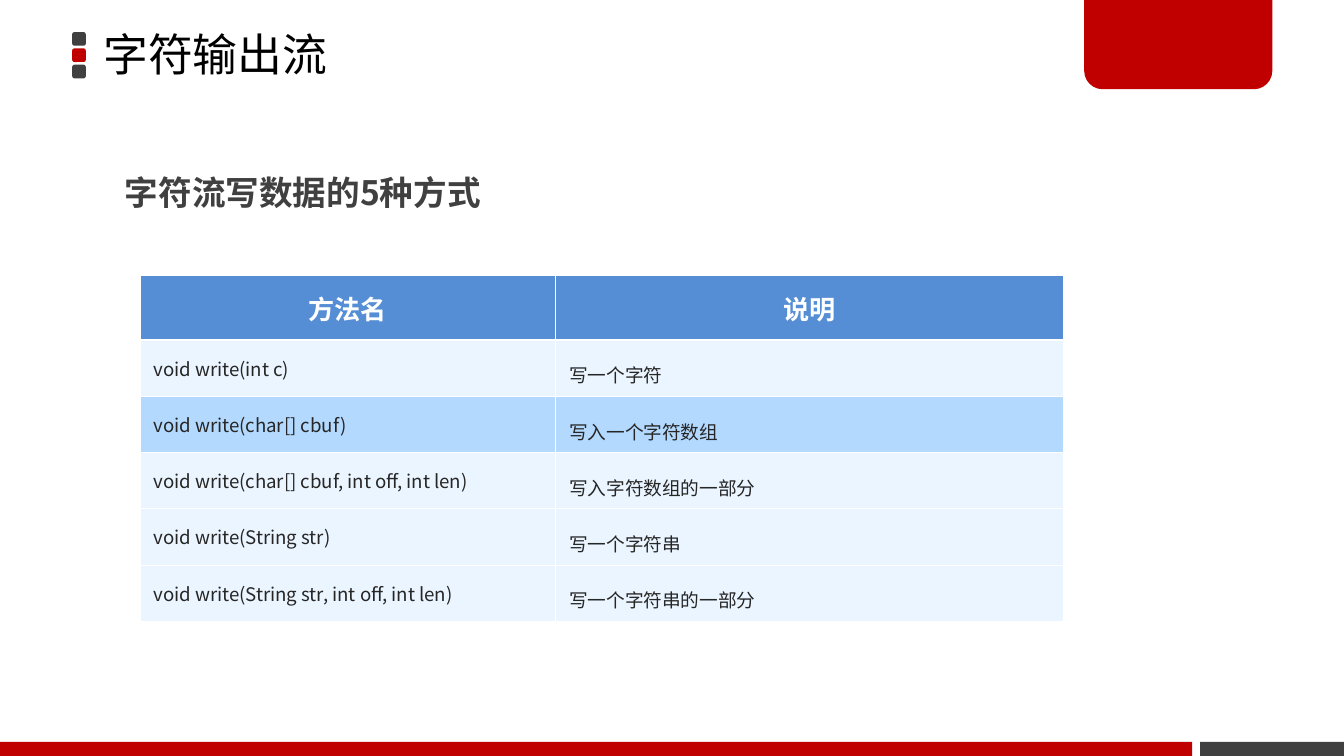
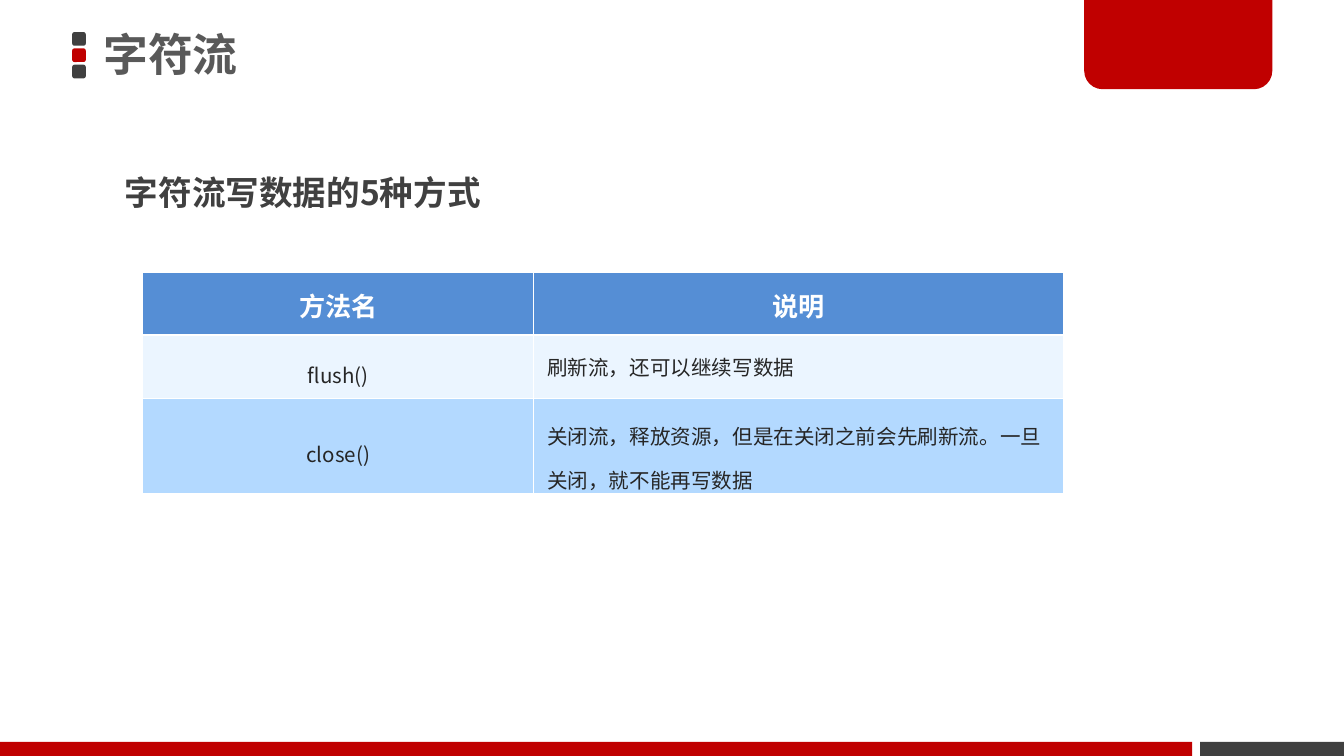
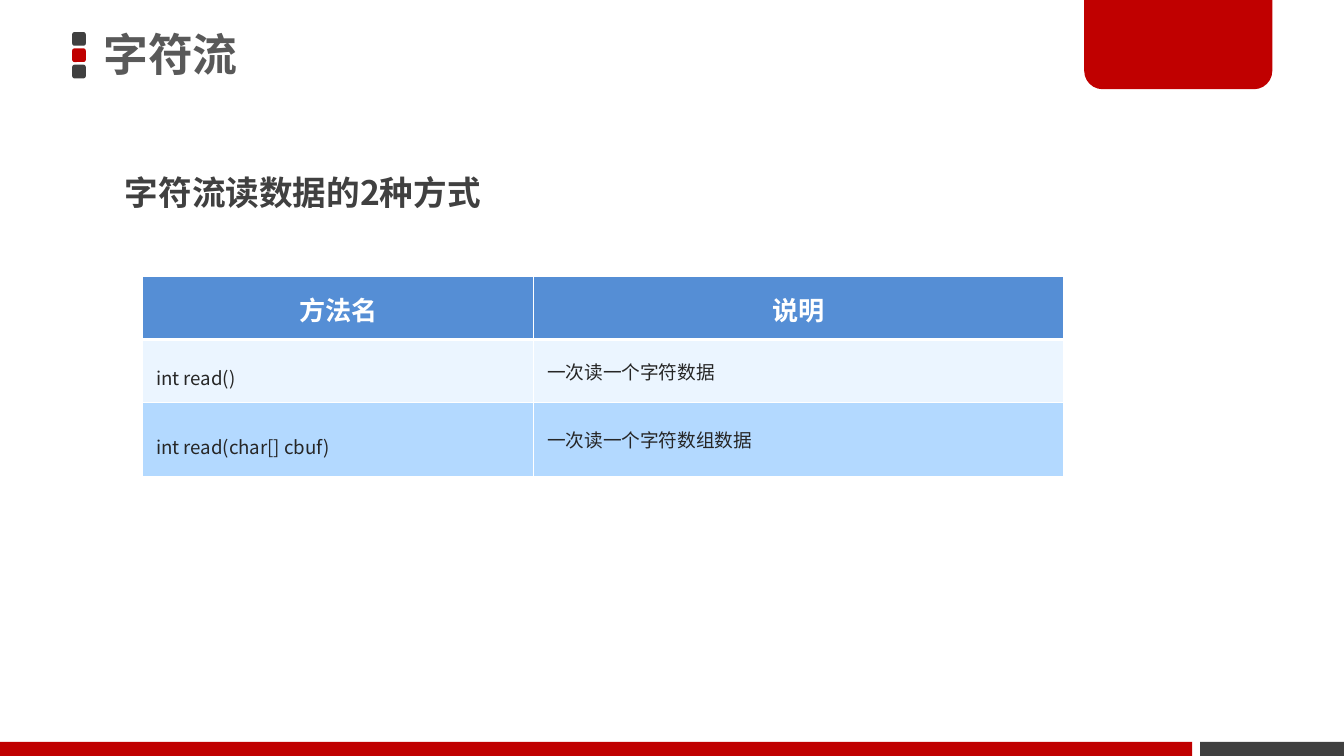
from dataclasses import dataclass

from lxml import etree
from pptx import Presentation
from pptx.dml.color import RGBColor
from pptx.enum import shapes as es, text as et
from pptx.oxml import ns
from pptx.util import Pt


@dataclass(frozen=True)
class Theme:
    red: str = "C00000"
    dark: str = "404040"
    grey: str = "595959"
    ink: str = "262626"
    black: str = "000000"
    white: str = "FFFFFF"
    head: str = "558ED5"
    pale: str = "EBF5FF"
    blue: str = "B3D9FF"
    cjk: str = "Noto Sans CJK SC"
    latin: str = "Calibri"
    title: float = 24
    topic: float = 18
    label: float = 14
    thin: float = 0.45
    thick: float = 1.47


T = Theme()
KIND = es.MSO_SHAPE
MID = et.MSO_ANCHOR.MIDDLE
LEFT, MIDDLE = et.PP_ALIGN.LEFT, et.PP_ALIGN.CENTER
WIDE, HIGH = 720, 405


def pts(*vals):
    return [Pt(v) for v in vals]


def write(para, words, size, color, bold=False, face=T.cjk, lead=None, align=LEFT):
    para.alignment = align
    if lead:
        para.line_spacing = lead
    run = para.add_run()
    run.text = words
    font = run.font
    font.size, font.bold, font.name = Pt(size), bold, face
    font.color.rgb = RGBColor.from_string(color)
    east = etree.SubElement(run._r.get_or_add_rPr(), ns.qn("a:ea"))
    east.set("typeface", T.cjk)


def block(owner, kind, box, color):
    shape = owner.add_shape(kind, *pts(*box))
    shape.shadow.inherit = False
    shape.fill.solid()
    shape.fill.fore_color.rgb = RGBColor.from_string(color)
    shape.line.fill.background()
    return shape


def label(slide, box, pads):
    """Add an empty wrapping text box and return its frame."""
    frame = slide.shapes.add_textbox(*pts(*box)).text_frame
    frame.word_wrap = True
    side, top = pts(*pads)
    frame.margin_left = frame.margin_right = side
    frame.margin_top = frame.margin_bottom = top
    return frame


def dots(slide, box):
    """Stack three squares down the box."""
    left, top, size, high = box
    step = (high - size) / 2
    group = slide.shapes.add_group_shape().shapes
    for i, color in enumerate((T.dark, T.red, T.dark)):
        block(group, KIND.ROUNDED_RECTANGLE, (left, top + i * step, size, size), color)


def tab(slide, box):
    """Hang a tab with two round lower corners from the top edge."""
    shape = block(slide.shapes, KIND.ROUND_2_SAME_RECTANGLE, box, T.red)
    shape.rotation = 180
    shape.adjustments[0] = 0.2


def foot(slide, box):
    left, top, wide, high = box
    gap, end = 4.3, 77
    main = wide - end - gap
    block(slide.shapes, KIND.RECTANGLE, (left + wide - end, top, end, high), T.dark)
    block(slide.shapes, KIND.RECTANGLE, (left, top, main, high), T.red)


def title(slide, box, words, look):
    frame = label(slide, box, (5.7, 2.8))
    frame.vertical_anchor = MID
    write(frame.paragraphs[0], words, T.title, lead=0.9, **look)


def topic(slide, box, words):
    frame = label(slide, box, (7.2, 3.6))
    frame.auto_size = et.MSO_AUTO_SIZE.SHAPE_TO_FIT_TEXT
    write(frame.paragraphs[0], words, T.topic, T.dark, bold=True, lead=1.5)


def edge(cell, row):
    """Draw white borders, thicker between the head row and the body."""
    props = cell._tc.get_or_add_tcPr()
    for side in "LRTB":
        heavy = (side, row) in (("B", 0), ("T", 1))
        line = etree.SubElement(props, ns.qn(f"a:ln{side}"))
        line.set("w", str(int(Pt(T.thick if heavy else T.thin))))
        fill = etree.SubElement(line, ns.qn("a:solidFill"))
        etree.SubElement(fill, ns.qn("a:srgbClr")).set("val", T.white)


def grid(slide, spot, cols, rows, items, size, leads, align=LEFT):
    """Fill a method table; leads gives the line spacing of each body row."""
    items = [("方法名", "说明"), *items]
    box = (*spot, sum(cols), sum(rows))
    table = slide.shapes.add_table(len(rows), len(cols), *pts(*box)).table
    table.horz_banding = False
    for col, wide in zip(table.columns, cols):
        col.width = Pt(wide)
    for r, (high, item) in enumerate(zip(rows, items)):
        table.rows[r].height = Pt(high)
        for c, words in enumerate(item):
            cell = table.cell(r, c)
            edge(cell, r)
            cell.fill.solid()
            shade = {0: T.head, 2: T.blue}.get(r, T.pale)
            cell.fill.fore_color.rgb = RGBColor.from_string(shade)
            para = cell.text_frame.paragraphs[0]
            if r == 0:
                write(para, words, T.label, T.white, True, lead=Pt(24), align=MIDDLE)
            else:
                cell.vertical_anchor = MID
                write(para, words, size, T.ink, lead=leads[r - 1][c],
                      align=LEFT if c else align)


def page(deck, name, look, about, data):
    slide = deck.slides.add_slide(deck.slide_layouts[6])
    dots(slide, (38.7, 17.2, 7.3, 24.8))
    tab(slide, (580.8, -1.4, 100.8, 49.2))
    foot(slide, (0, 397.5, WIDE, 7.5))
    title(slide, (49.7, -1.4, 424, 64), name, look)
    grid(slide, **data)
    topic(slide, (59.8, 77.8, 276.5, 39.6), about)


PLAIN = dict(color=T.black, face=T.latin)
STRONG = dict(color=T.grey, bold=True)
SPLIT = (209.5, 283.5)

PAGES = [
    ("字符输出流", PLAIN, "字符流写数据的5种方式", dict(
        spot=(75, 147.4), cols=(222.8, 272), rows=(34.8, *[30.15] * 5), size=10,
        leads=[(None, 1.5)] * 5,
        items=[
            ("void write(int c)", "写一个字符"),
            ("void write(char[] cbuf)", "写入一个字符数组"),
            ("void write(char[] cbuf, int off, int len)", "写入字符数组的一部分"),
            ("void write(String str)", "写一个字符串"),
            ("void write(String str, int off, int len)", "写一个字符串的一部分"),
        ])),
    ("字符流", STRONG, "字符流写数据的5种方式", dict(
        spot=(76.5, 146), cols=SPLIT, rows=(33.6, 33.9, 51.1), size=11,
        leads=[(1.5, None), (1.5, 1.5)], align=MIDDLE,
        items=[
            ("flush()", "刷新流，还可以继续写数据"),
            ("close()", "关闭流，释放资源，但是在关闭之前会先刷新流。一旦关闭，就不能再写数据"),
        ])),
    ("字符流", STRONG, "字符流读数据的2种方式", dict(
        spot=(76.5, 148.3), cols=SPLIT, rows=(33.6, 33.9, 39.6), size=10,
        leads=[(1.5, None)] * 2,
        items=[
            ("int read()", "一次读一个字符数据"),
            ("int read(char[] cbuf)", "一次读一个字符数组数据"),
        ])),
]


def main():
    deck = Presentation()
    deck.slide_width, deck.slide_height = pts(WIDE, HIGH)
    for item in PAGES:
        page(deck, *item)
    deck.save("out.pptx")


if __name__ == "__main__":
    main()
